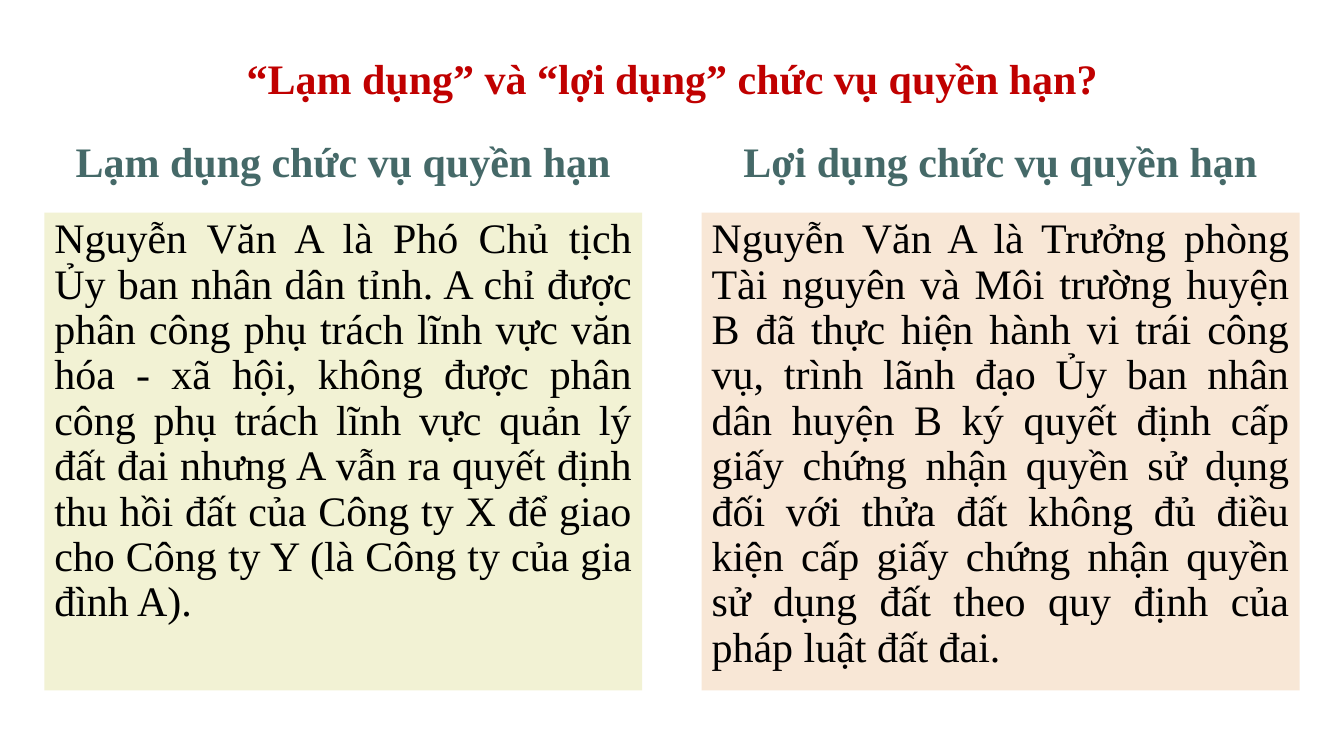
from pptx import Presentation
from pptx.dml.color import RGBColor
from pptx.enum.text import MSO_ANCHOR, PP_ALIGN
from pptx.util import Inches, Pt

CENTER, JUSTIFY = PP_ALIGN.CENTER, PP_ALIGN.JUSTIFY
TOP, MIDDLE = MSO_ANCHOR.TOP, MSO_ANCHOR.MIDDLE

TITLE = "“Lạm dụng” và “lợi dụng” chức vụ quyền hạn?"
COLUMNS = [
    {
        "heading": "Lạm dụng chức vụ quyền hạn",
        "example": "Nguyễn Văn A là Phó Chủ tịch Ủy ban nhân dân tỉnh. A chỉ được "
                   "phân công phụ trách lĩnh vực văn hóa - xã hội, không được phân "
                   "công phụ trách lĩnh vực quản lý đất đai nhưng A vẫn ra quyết định "
                   "thu hồi đất của Công ty X để giao cho Công ty Y (là Công ty của "
                   "gia đình A).",
        "fill": "green",
    },
    {
        "heading": "Lợi dụng chức vụ quyền hạn",
        "example": "Nguyễn Văn A là Trưởng phòng Tài nguyên và Môi trường huyện B đã "
                   "thực hiện hành vi trái công vụ, trình lãnh đạo Ủy ban nhân dân "
                   "huyện B ký quyết định cấp giấy chứng nhận quyền sử dụng đối với "
                   "thửa đất không đủ điều kiện cấp giấy chứng nhận quyền sử dụng đất "
                   "theo quy định của pháp luật đất đai.",
        "fill": "peach",
    },
]
COLORS = {"red": "C00000", "teal": "456968", "black": "000000",
          "green": "F2F2D4", "peach": "F8E7D6"}

SLIDE_WIDTH, SLIDE_HEIGHT = 13.33, 7.5
MARGIN, GUTTER = 0.44, 0.59
COLUMN_WIDTH = (SLIDE_WIDTH - 2 * MARGIN - GUTTER) / len(COLUMNS)
TITLE_LEFT, TITLE_TOP, TITLE_WIDTH = 1.17, 0.45, 11
HEADING_TOP, LINE_HEIGHT = 1.28, 0.7
EXAMPLE_TOP, EXAMPLE_HEIGHT = 2.11, 4.74


def add_text(page, text, area, color, align=CENTER, anchor=MIDDLE,
             bold=True, before=12, fill=None):
    box = page.shapes.add_textbox(*(Inches(length) for length in area))
    if fill:
        box.fill.solid()
        box.fill.fore_color.rgb = RGBColor.from_string(COLORS[fill])
    frame = box.text_frame
    frame.word_wrap = True
    frame.vertical_anchor = anchor
    para = frame.paragraphs[0]
    para.text = text
    para.alignment = align
    para.line_spacing = 0.9
    para.space_before = Pt(before)
    para.font.name = "Times New Roman"
    para.font.size = Pt(30)
    para.font.bold = bold
    para.font.color.rgb = RGBColor.from_string(COLORS[color])


def main():
    deck = Presentation()
    deck.slide_width, deck.slide_height = Inches(SLIDE_WIDTH), Inches(SLIDE_HEIGHT)
    page = deck.slides.add_slide(deck.slide_layouts[6])

    add_text(page, TITLE, (TITLE_LEFT, TITLE_TOP, TITLE_WIDTH, LINE_HEIGHT),
             "red", before=0)
    for index, column in enumerate(COLUMNS):
        left = MARGIN + index * (COLUMN_WIDTH + GUTTER)
        add_text(page, column["heading"],
                 (left, HEADING_TOP, COLUMN_WIDTH, LINE_HEIGHT), "teal")
        add_text(page, column["example"],
                 (left, EXAMPLE_TOP, COLUMN_WIDTH, EXAMPLE_HEIGHT), "black",
                 align=JUSTIFY, anchor=TOP, bold=False, fill=column["fill"])
    deck.save("out.pptx")


if __name__ == "__main__":
    main()
